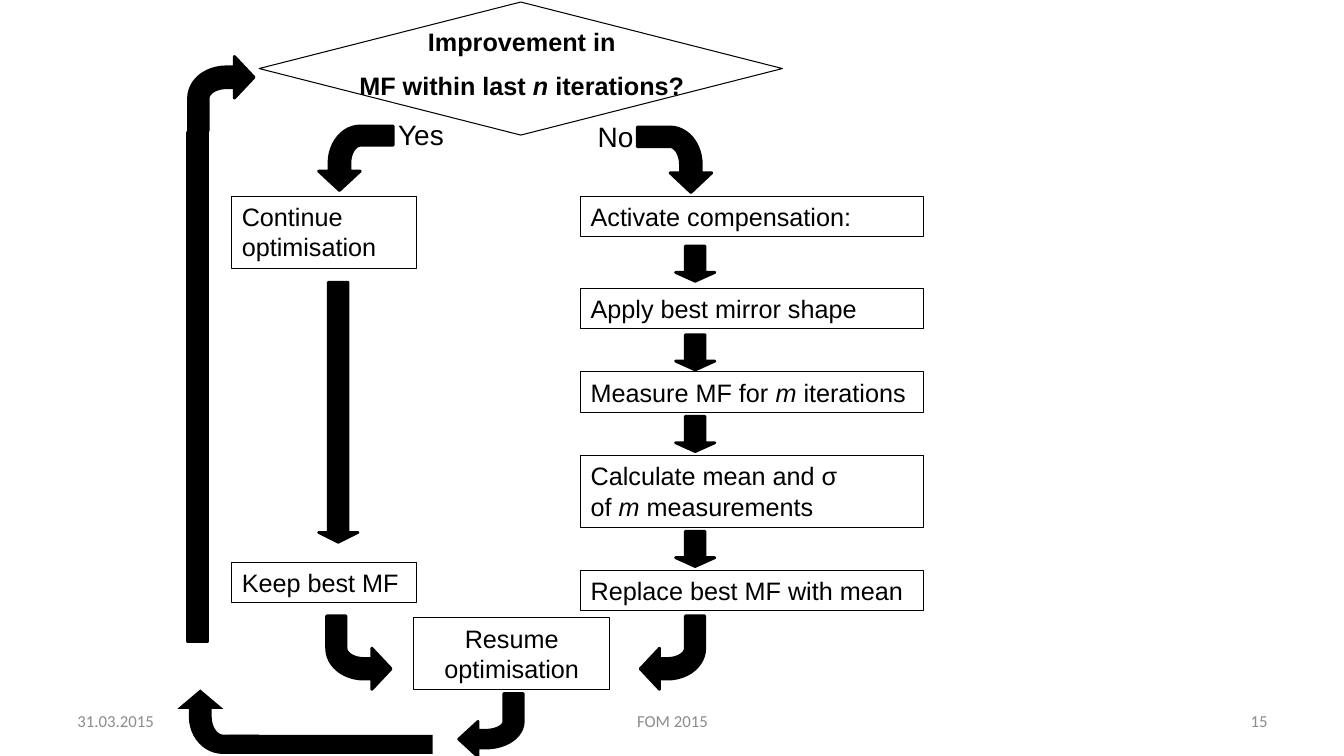
from pptx import Presentation
from pptx.dml.color import RGBColor
from pptx.enum.shapes import MSO_SHAPE as Shape
from pptx.enum.text import MSO_ANCHOR as Anchor, PP_ALIGN as Align
from pptx.util import Inches, Pt

BLACK, GREY = "000000", "8C8C8C"
WIDTH, HEIGHT = 13.33, 7.5

# Columns as (left, width), and the two box heights
YES_COLUMN, NO_COLUMN, RESUME_COLUMN = (2.3, 1.83), (5.76, 3.4), (4.1, 1.95)
ONE_LINE, TWO_LINES = 0.4, 0.71

# Step boxes: column, top, height, alignment, text (*italic*)
STEPS = [
    (YES_COLUMN, 1.95, TWO_LINES, Align.LEFT, "Continue optimisation"),
    (YES_COLUMN, 5.58, ONE_LINE, Align.LEFT, "Keep best MF"),
    (NO_COLUMN, 1.95, ONE_LINE, Align.LEFT, "Activate compensation:"),
    (NO_COLUMN, 2.86, ONE_LINE, Align.LEFT, "Apply best mirror shape"),
    (NO_COLUMN, 3.69, ONE_LINE, Align.LEFT, "Measure MF for *m* iterations"),
    (NO_COLUMN, 4.52, TWO_LINES, Align.LEFT,
     "Calculate mean and σ\nof *m* measurements"),
    (NO_COLUMN, 5.66, ONE_LINE, Align.LEFT, "Replace best MF with mean"),
    (RESUME_COLUMN, 6.13, TWO_LINES, Align.CENTER, "Resume optimisation"),
]
QUESTION = ["Improvement in", "MF within last *n* iterations?"]
ANSWERS = [("Yes", 3.85, 1.12, 0.66), ("No", 5.83, 1.14, 0.56)]
FOOTER = [
    ("31.03.2015", 0.67, 3.11, Align.LEFT),
    ("FOM 2015", 4.56, 4.22, Align.CENTER),
    ("15", 9.56, 3.11, Align.RIGHT),
]

# Straight arrows: left, top, height
DOWN_ARROWS = [(3.16, 2.8, 2.58)] + [
    (6.7, top, 0.35) for top in (2.44, 3.32, 4.13, 5.27)]
# Bars of the return loop: left, top, width, height, line width
LOOP_BARS = [(1.86, 1.31, 0.2, 5.06, 2), (2.27, 7.29, 2.02, 0.19, 0)]
# Bent arrows: head axis, head span (tip to bend), tail span (end to bend), line
BENT_ARROWS = [
    ("y", (1.89, 1.25), (3.9, 3.16), 2),
    ("y", (1.91, 1.26), (6.32, 7.06), 2),
    ("x", (3.88, 3.24), (6.11, 6.84), 2),
    ("x", (6.35, 6.99), (6.11, 6.84), 2),
    ("x", (2.52, 1.87), (1.3, 0.56), 2),
    ("y", (6.84, 7.48), (2.57, 1.76), 0),
    ("x", (4.55, 5.19), (6.88, 7.51), 2),
]


def color(value):
    return RGBColor.from_string(value)


def bezier(start, first, second, end, steps=12):
    points = []
    for step in range(steps + 1):
        t = step / steps
        weights = ((1 - t) ** 3, 3 * t * (1 - t) ** 2, 3 * t * t * (1 - t), t ** 3)
        points.append(tuple(
            sum(w * p[axis] for w, p in zip(weights, (start, first, second, end)))
            for axis in (0, 1)))
    return points


# Bent arrow outline as shares of its head span and tail span
BENT_OUTLINE = [
    (0, 0.72), (0.3, 1), (0.3, 0.86),
    *bezier((0.42, 0.86), (0.75, 0.86), (1, 0.67), (1, 0.44)),
    (1, 0), (0.7, 0),
    *bezier((0.7, 0.44), (0.7, 0.51), (0.58, 0.58), (0.42, 0.58)),
    (0.3, 0.58), (0.3, 0.44),
]


def style(shape, fill=None, line=0.75):
    shape.shadow.inherit = False
    if fill:
        shape.fill.solid()
        shape.fill.fore_color.rgb = color(fill)
    else:
        shape.fill.background()
    if line:
        shape.line.color.rgb = color(BLACK)
        shape.line.width = Pt(line)
    else:
        shape.line.fill.background()


def add_preset(slide, kind, left, top, width, height, fill=None, line=0.75):
    shape = slide.shapes.add_shape(
        kind, Inches(left), Inches(top), Inches(width), Inches(height))
    style(shape, fill, line)
    return shape


def add_textbox(slide, left, top, width, height):
    return slide.shapes.add_textbox(
        Inches(left), Inches(top), Inches(width), Inches(height))


def write(shape, paragraphs, size=18, font="Arial", ink=BLACK, align=Align.LEFT,
          bold=False, wrap=True, anchor=Anchor.TOP):
    frame = shape.text_frame
    frame.word_wrap = wrap
    frame.vertical_anchor = anchor
    for number, text in enumerate(paragraphs):
        paragraph = frame.add_paragraph() if number else frame.paragraphs[0]
        paragraph.alignment = align
        if number:
            paragraph.space_before = Pt(10)
        for index, part in enumerate(text.split("*")):
            for row, words in enumerate(part.split("\n")):
                if row:
                    paragraph.add_line_break()
                run = paragraph.add_run()
                run.text = words
                run.font.size, run.font.name = Pt(size), font
                run.font.bold, run.font.italic = bold, index % 2 == 1
                run.font.color.rgb = color(ink)


def add_bent_arrow(slide, axis, head, tail, line):
    points = []
    for u, v in BENT_OUTLINE:
        along = head[0] + u * (head[1] - head[0])
        across = tail[0] + v * (tail[1] - tail[0])
        x, y = (along, across) if axis == "x" else (across, along)
        points.append((Inches(x), Inches(y)))
    builder = slide.shapes.build_freeform(*points[0])
    builder.add_line_segments(points[1:], close=True)
    style(builder.convert_to_shape(), BLACK, line)


def main():
    presentation = Presentation()
    presentation.slide_width = Inches(WIDTH)
    presentation.slide_height = Inches(HEIGHT)
    slide = presentation.slides.add_slide(presentation.slide_layouts[6])

    # Decision
    add_preset(slide, Shape.DIAMOND, 2.57, 0.02, 5.19, 1.32)
    write(add_textbox(slide, 2.98, 0.21, 4.39, 0.89), QUESTION,
          align=Align.CENTER, bold=True)
    for text, left, top, width in ANSWERS:
        write(add_textbox(slide, left, top, width, 0.44), [text], size=20, wrap=False)

    # Steps
    for (left, width), top, height, align, text in STEPS:
        box = add_preset(slide, Shape.RECTANGLE, left, top, width, height)
        write(box, [text], align=align)

    # Arrows and return loop
    for left, top, height in DOWN_ARROWS:
        arrow = add_preset(slide, Shape.DOWN_ARROW, left, top, 0.39, height, BLACK, 2)
        arrow.adjustments[0], arrow.adjustments[1] = 0.5, 0.25
    for left, top, width, height, line in LOOP_BARS:
        add_preset(slide, Shape.RECTANGLE, left, top, width, height, BLACK, line)
    for bent_arrow in BENT_ARROWS:
        add_bent_arrow(slide, *bent_arrow)

    # Footer
    for text, left, width, align in FOOTER:
        write(add_textbox(slide, left, 6.95, width, 0.4), [text], size=12,
              font="Calibri", ink=GREY, align=align, anchor=Anchor.MIDDLE)

    presentation.save("out.pptx")


if __name__ == "__main__":
    main()
